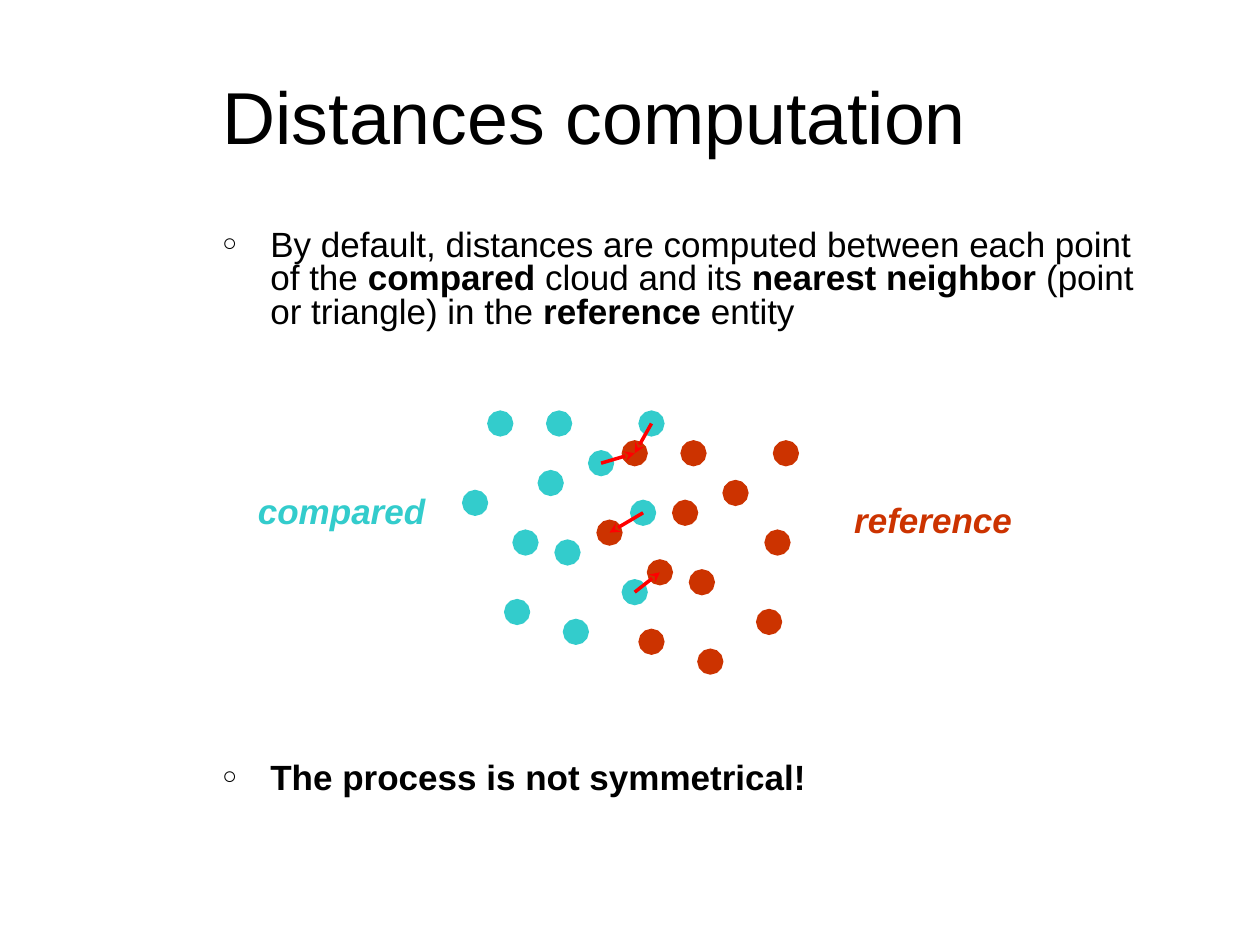
from lxml import etree
from pptx import Presentation
from pptx.dml.color import RGBColor
from pptx.enum.shapes import MSO_CONNECTOR
from pptx.enum.text import MSO_ANCHOR, MSO_AUTO_SIZE, PP_ALIGN
from pptx.oxml.ns import qn
from pptx.util import Pt

BLACK = RGBColor(0x00, 0x00, 0x00)
TEAL = RGBColor(0x33, 0xCC, 0xCC)
RUST = RGBColor(0xCC, 0x33, 0x00)
RED = RGBColor(0xFF, 0x00, 0x00)
STRAIGHT = MSO_CONNECTOR.STRAIGHT
TOP, MIDDLE = MSO_ANCHOR.TOP, MSO_ANCHOR.MIDDLE
LEFT, CENTER = PP_ALIGN.LEFT, PP_ALIGN.CENTER
NO_FIT = MSO_AUTO_SIZE.NONE

# Both clouds share one pattern, in grid steps; the reference is shifted.
STEP_X, STEP_Y = 4.8, 5.67
CLOUD = [(3, 0), (9, 6), (0, 8), (11, 13), (5, 19), (21, 0),
         (15, 4), (20, 9), (19, 17), (6, 12), (10, 0), (12, 21)]
REFERENCE_SHIFT = (16, 3)
# Index of a compared point and of its nearest reference point
NEAREST = [(6, 0), (7, 2), (8, 9), (5, 0)]


def place(s, box):
    s.left, s.top, s.width, s.height = map(Pt, box)


def write(p, text, size=20, color=BLACK, bold=False, italic=False, align=LEFT):
    p.alignment = align
    r = p.add_run()
    r.text = text
    f = r.font
    f.name, f.size, f.bold, f.italic = "Arial", Pt(size), bold, italic
    f.color.rgb = color


def text_frame(s, anchor=TOP):
    tf = s.text_frame
    tf.word_wrap = True
    tf.auto_size = NO_FIT
    tf.vertical_anchor = anchor
    return tf


def add_bullet(p, indent=27.4):
    pPr = p._p.get_or_add_pPr()
    pPr.set("marL", str(Pt(indent)))
    pPr.set("indent", str(-Pt(indent)))
    color = etree.SubElement(pPr, qn("a:buClr"))
    etree.SubElement(color, qn("a:srgbClr"), val=str(BLACK))
    etree.SubElement(pPr, qn("a:buSzPct"), val="70000")
    etree.SubElement(pPr, qn("a:buFont"), typeface="Arial")
    etree.SubElement(pPr, qn("a:buChar"), char="○")


def add_line(slide, start, end, color, width, end_tag, end_type, end_size):
    line = slide.shapes.add_connector(STRAIGHT, *map(Pt, start + end))
    line.line.color.rgb = color
    line.line.width = Pt(width)
    ln = line.line._get_or_add_ln()
    etree.SubElement(ln, qn(end_tag), type=end_type, w=end_size, len=end_size)
    etree.SubElement(line._element.spPr, qn("a:effectLst"))


def add_title(slide, box, text):
    s = slide.shapes.title
    place(s, box)
    write(text_frame(s, MIDDLE).paragraphs[0], text, size=42)


def add_body(slide, box, bullets, gap):
    tf = text_frame(slide.shapes.add_textbox(*map(Pt, box)))
    for i, runs in enumerate(bullets):
        p = tf.add_paragraph() if i else tf.paragraphs[0]
        p.line_spacing = 0.8
        p.space_before = Pt(gap if i else 0)
        add_bullet(p)
        for text, bold in runs:
            write(p, text, bold=bold)


def add_label(slide, box, text, color):
    tf = text_frame(slide.shapes.add_textbox(*map(Pt, box)))
    write(tf.paragraphs[0], text, color=color, bold=True, italic=True,
          align=CENTER)


def add_clouds(slide, left, top):
    def points(dx=0, dy=0):
        return [(left + (x + dx) * STEP_X, top + (y + dy) * STEP_Y)
                for x, y in CLOUD]

    compared, reference = points(), points(*REFERENCE_SHIFT)
    # Points: short lines with a large round head
    for cloud, color in ((compared, TEAL), (reference, RUST)):
        for x, y in cloud:
            add_line(slide, (x, y), (x, y + STEP_Y), color, 3,
                     "a:headEnd", "oval", "lg")
    # Arrows to the nearest neighbors
    for i, j in NEAREST:
        add_line(slide, compared[i], reference[j], RED, 2,
                 "a:tailEnd", "stealth", "med")


def main():
    prs = Presentation()
    prs.slide_width, prs.slide_height = Pt(720), Pt(540)
    slide = prs.slides.add_slide(prs.slide_layouts[5])

    add_title(slide, (120, 15, 552, 101.5), "Distances computation")
    add_body(slide, (120, 128, 552, 385), [
        [("By default, distances are computed between each point of the ", False),
         ("compared", True),
         (" cloud and its ", False),
         ("nearest neighbor ", True),
         ("(point or triangle) in the ", False),
         ("reference", True),
         (" entity", False)],
        [("The process is not symmetrical!", True)],
    ], gap=247)
    add_clouds(slide, 271.5, 242)
    add_label(slide, (133, 276, 124.5, 31.5), "compared", TEAL)
    add_label(slide, (468, 281.5, 130.5, 31.5), "reference", RUST)

    prs.save("out.pptx")


if __name__ == "__main__":
    main()
